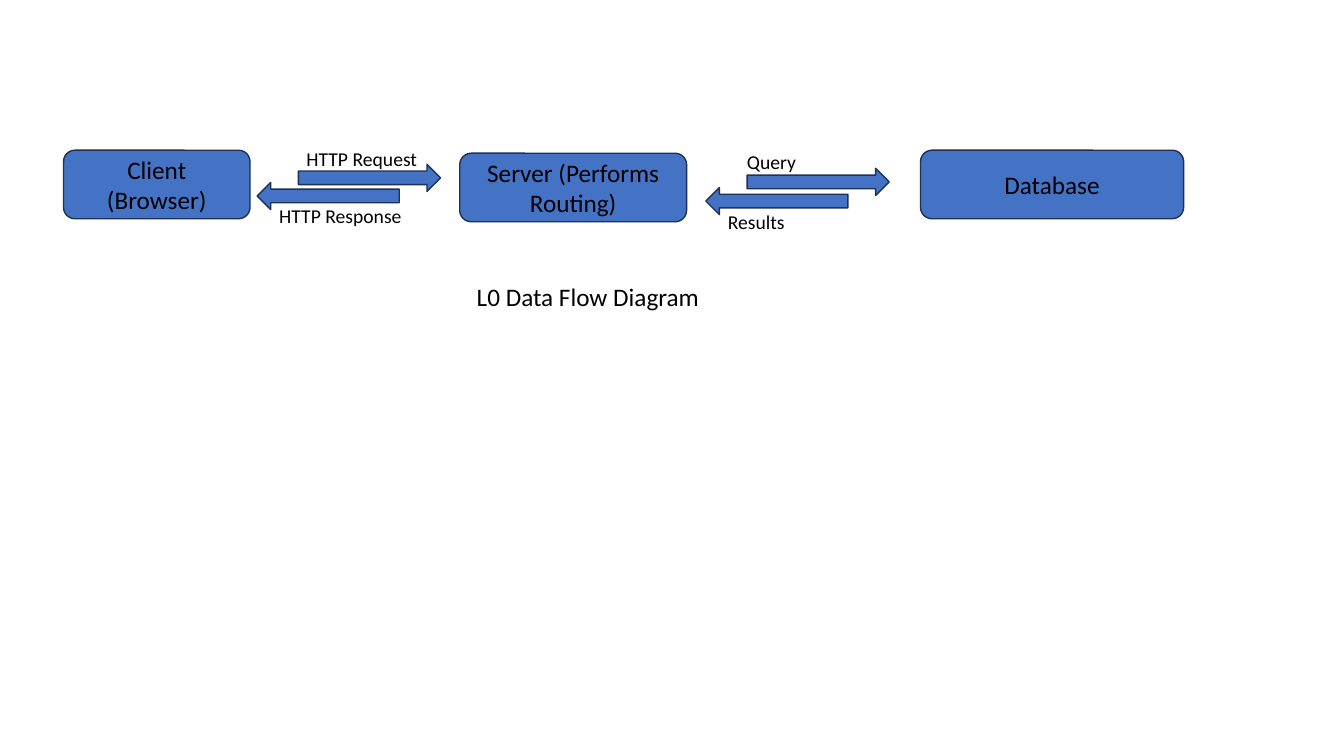
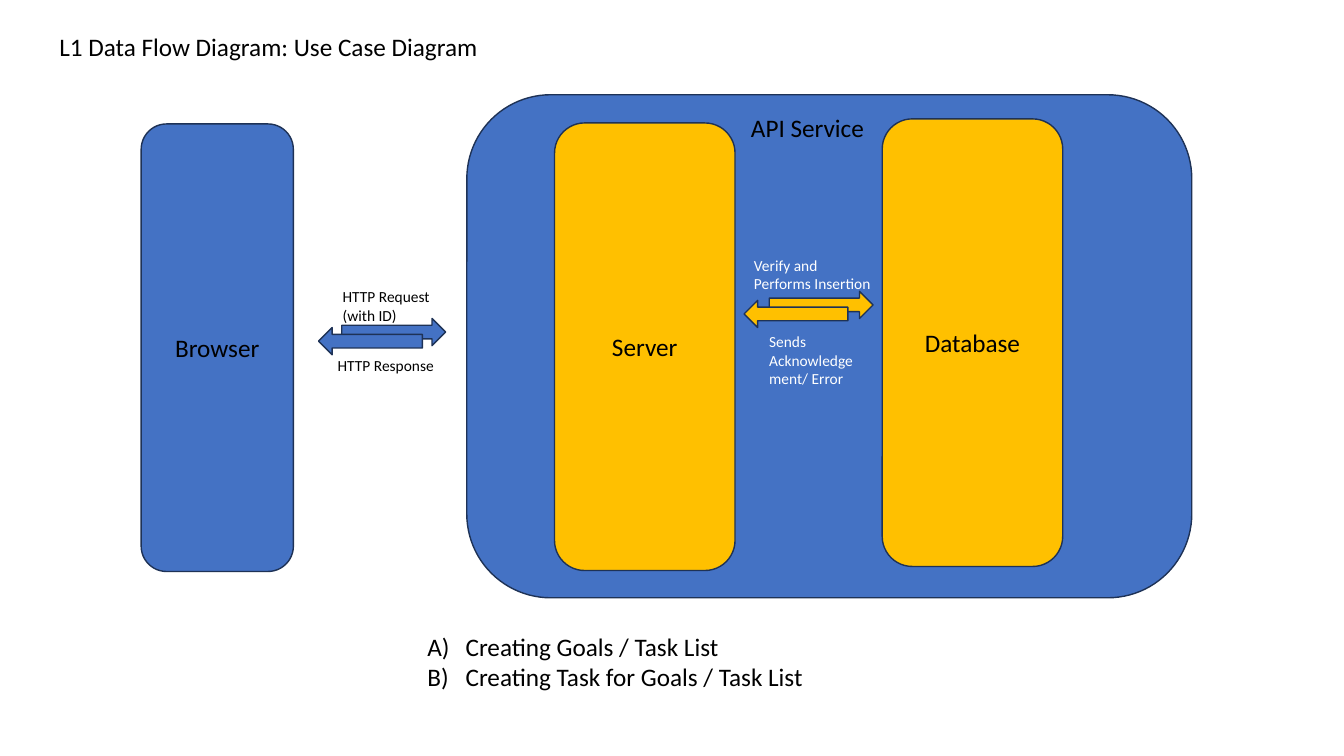
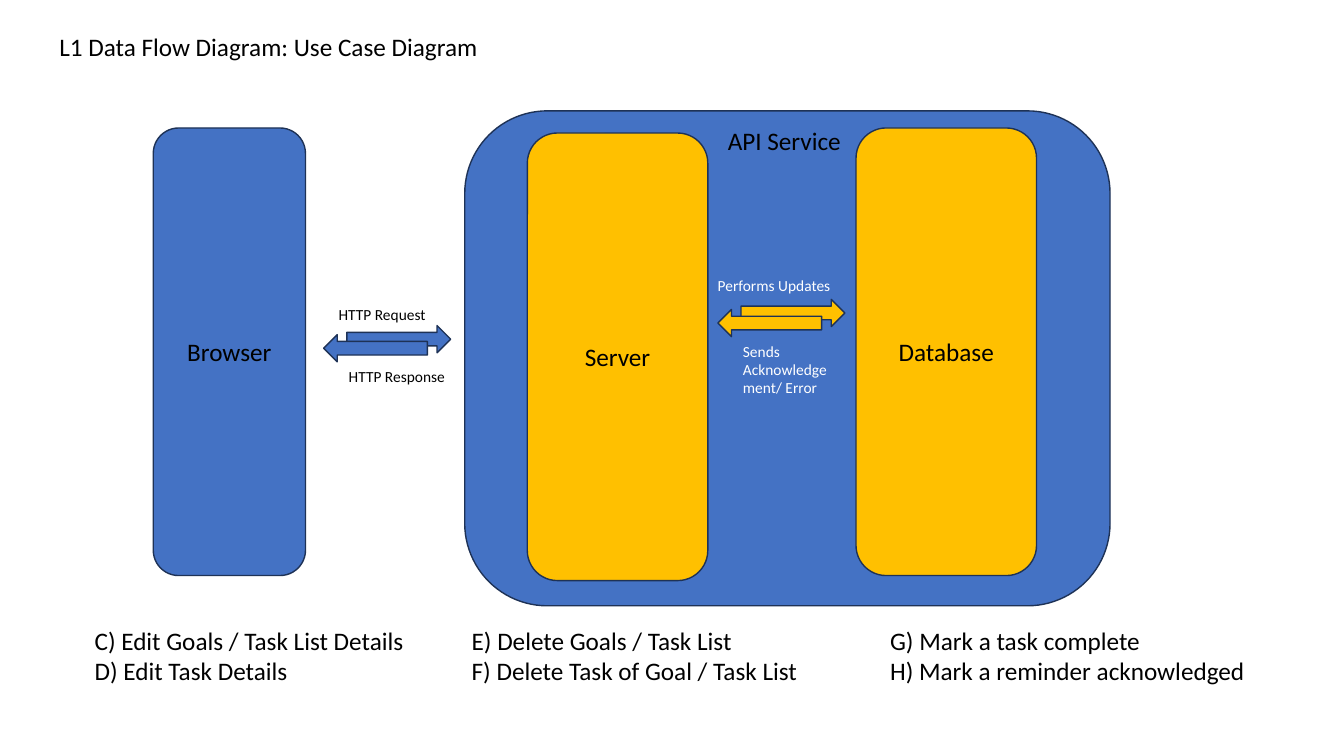
from lxml.etree import SubElement
from pptx import Presentation
from pptx.dml.color import RGBColor
from pptx.enum.shapes import MSO_SHAPE
from pptx.enum.text import MSO_ANCHOR, PP_ALIGN
from pptx.oxml.ns import qn
from pptx.util import Inches, Pt

BLUE = RGBColor(0x44, 0x72, 0xC4)
GOLD = RGBColor(0xFF, 0xC0, 0x00)
OUTLINE = RGBColor(0x1E, 0x32, 0x56)
BLACK = RGBColor(0x00, 0x00, 0x00)
WHITE = RGBColor(0xFF, 0xFF, 0xFF)
FONT = "Calibri"
BODY, LABEL, SMALL = 18, 14, 11
ARROW_HEIGHT = 0.27
LIST_INDENT = 0.38
USE_CASE_TITLE = ("L1 Data Flow Diagram: Use Case Diagram", (0.49, 0.26, 4.4, 0.4))
COLUMN_HEIGHT, BROWSER_WIDTH, STORE_WIDTH = 4.44, 1.51, 1.79

# Boxes: text, fill, (left, top, width, height)
# Texts: text, (left, top, width, height), then size, colour, wrap, numbered if not default
# Arrows: fill, width, (left, top) of the request, (left, top) of the response
OVERVIEW = {
    "boxes": [
        ("Client (Browser)", BLUE, (0.63, 1.49, 1.85, 0.68)),
        ("Server (Performs Routing)", BLUE, (4.56, 1.52, 2.25, 0.68)),
        ("Database", BLUE, (9.13, 1.49, 2.61, 0.68)),
    ],
    "texts": [
        ("HTTP Request", (2.94, 1.41, 1.31, 0.34), LABEL),
        ("HTTP Response", (2.67, 1.97, 1.78, 0.34), LABEL, BLACK, True),
        ("Query", (7.31, 1.44, 0.69, 0.34), LABEL),
        ("Results", (7.12, 2.03, 0.77, 0.34), LABEL),
        ("L0 Data Flow Diagram", (4.63, 2.74, 2.49, 0.4)),
    ],
    "arrows": [
        (BLUE, 1.41, (2.96, 1.63), (2.55, 1.81)),
        (BLUE, 1.41, (7.41, 1.67), (7, 1.86)),
    ],
}


def use_case(service, browser, server, database, texts, arrows):
    """Describe a use case slide: the service frame, three columns and their traffic."""
    return {
        "boxes": [
            ("", BLUE, service),
            ("Browser", BLUE, (*browser, BROWSER_WIDTH, COLUMN_HEIGHT)),
            ("Server", GOLD, (*server, STORE_WIDTH, COLUMN_HEIGHT)),
            ("Database", GOLD, (*database, STORE_WIDTH, COLUMN_HEIGHT)),
        ],
        "texts": [USE_CASE_TITLE, *texts],
        "arrows": [(fill, 1.03, *places) for fill, *places in arrows],
    }


CREATING = use_case(
    service=(4.63, 0.94, 7.19, 4.99),
    browser=(1.4, 1.23), server=(5.5, 1.22), database=(8.75, 1.18),
    texts=[
        ("API Service", (7.35, 1.07, 1.33, 0.4)),
        ("HTTP Request\n(with ID)", (3.3, 2.8, 1.07, 0.47), SMALL),
        ("HTTP Response", (3.25, 3.48, 1.19, 0.29), SMALL, BLACK, True),
        ("Verify and Performs Insertion", (7.38, 2.49, 1.36, 0.47), SMALL, WHITE, True),
        ("Sends Acknowledgement/ Error", (7.53, 3.25, 1.06, 0.66), SMALL, WHITE, True),
        ("Creating Goals / Task List\nCreating Task for Goals / Task List",
         (4.14, 6.21, 3.96, 0.71), BODY, BLACK, False, True),
    ],
    arrows=[
        (BLUE, (3.39, 3.16), (3.16, 3.25)),
        (GOLD, (7.63, 2.89), (7.38, 2.98)),
    ],
)

EDITING = use_case(
    service=(4.61, 1.1, 6.4, 4.91),
    browser=(1.52, 1.27), server=(5.23, 1.32), database=(8.49, 1.27),
    texts=[
        ("API Service", (7.12, 1.19, 1.33, 0.4)),
        ("HTTP Request", (3.26, 2.98, 1.07, 0.29), SMALL),
        ("HTTP Response", (3.36, 3.59, 1.19, 0.29), SMALL, BLACK, True),
        ("Performs Updates", (7.02, 2.69, 1.36, 0.29), SMALL, WHITE, True),
        ("Sends Acknowledgement/ Error", (7.27, 3.34, 1.06, 0.66), SMALL, WHITE, True),
        ("C) Edit Goals / Task List Details\nD) Edit Task Details",
         (0.84, 6.15, 3.3, 0.71)),
        ("E) Delete Goals / Task List\nF) Delete Task of Goal / Task List",
         (4.58, 6.15, 3.57, 0.71)),
        ("G) Mark a task complete\nH) Mark a reminder acknowledged",
         (8.73, 6.15, 3.76, 0.71)),
    ],
    arrows=[
        (BLUE, (3.44, 3.23), (3.21, 3.32)),
        (GOLD, (7.35, 2.97), (7.12, 3.07)),
    ],
)


def place(area):
    return [Inches(length) for length in area]


def style_font(paragraph, size, color):
    paragraph.font.name = FONT
    paragraph.font.size = Pt(size)
    paragraph.font.color.rgb = color


def number_paragraph(paragraph):
    properties = paragraph._p.get_or_add_pPr()
    properties.set("marL", str(Inches(LIST_INDENT)))
    properties.set("indent", str(-Inches(LIST_INDENT)))
    SubElement(properties, qn("a:buFont"), typeface="+mj-lt")
    SubElement(properties, qn("a:buAutoNum"), type="alphaUcParenR")


def add_outlined(page, kind, fill, area):
    shape = page.shapes.add_shape(kind, *place(area))
    shape.shadow.inherit = False
    shape.fill.solid()
    shape.fill.fore_color.rgb = fill
    shape.line.color.rgb = OUTLINE
    shape.line.width = Pt(1)
    return shape


def add_box(page, text, fill, area):
    box = add_outlined(page, MSO_SHAPE.ROUNDED_RECTANGLE, fill, area)
    if text:
        frame = box.text_frame
        frame.word_wrap = True
        frame.vertical_anchor = MSO_ANCHOR.MIDDLE
        frame.text = text
        frame.paragraphs[0].alignment = PP_ALIGN.CENTER
        style_font(frame.paragraphs[0], BODY, BLACK)


def add_text(page, text, area, size=BODY, color=BLACK, wrap=False, numbered=False):
    frame = page.shapes.add_textbox(*place(area)).text_frame
    frame.word_wrap = wrap
    frame.text = text
    for paragraph in frame.paragraphs:
        style_font(paragraph, size, color)
        if numbered:
            number_paragraph(paragraph)


def add_arrow_pair(page, fill, width, request, response):
    for kind, corner in ((MSO_SHAPE.RIGHT_ARROW, request), (MSO_SHAPE.LEFT_ARROW, response)):
        add_outlined(page, kind, fill, (*corner, width, ARROW_HEIGHT))


def main():
    deck = Presentation()
    deck.slide_width, deck.slide_height = Inches(13.33), Inches(7.5)
    for content in (OVERVIEW, CREATING, EDITING):
        page = deck.slides.add_slide(deck.slide_layouts[6])
        for box in content["boxes"]:
            add_box(page, *box)
        for text in content["texts"]:
            add_text(page, *text)
        for pair in content["arrows"]:
            add_arrow_pair(page, *pair)
    deck.save("out.pptx")


if __name__ == "__main__":
    main()
